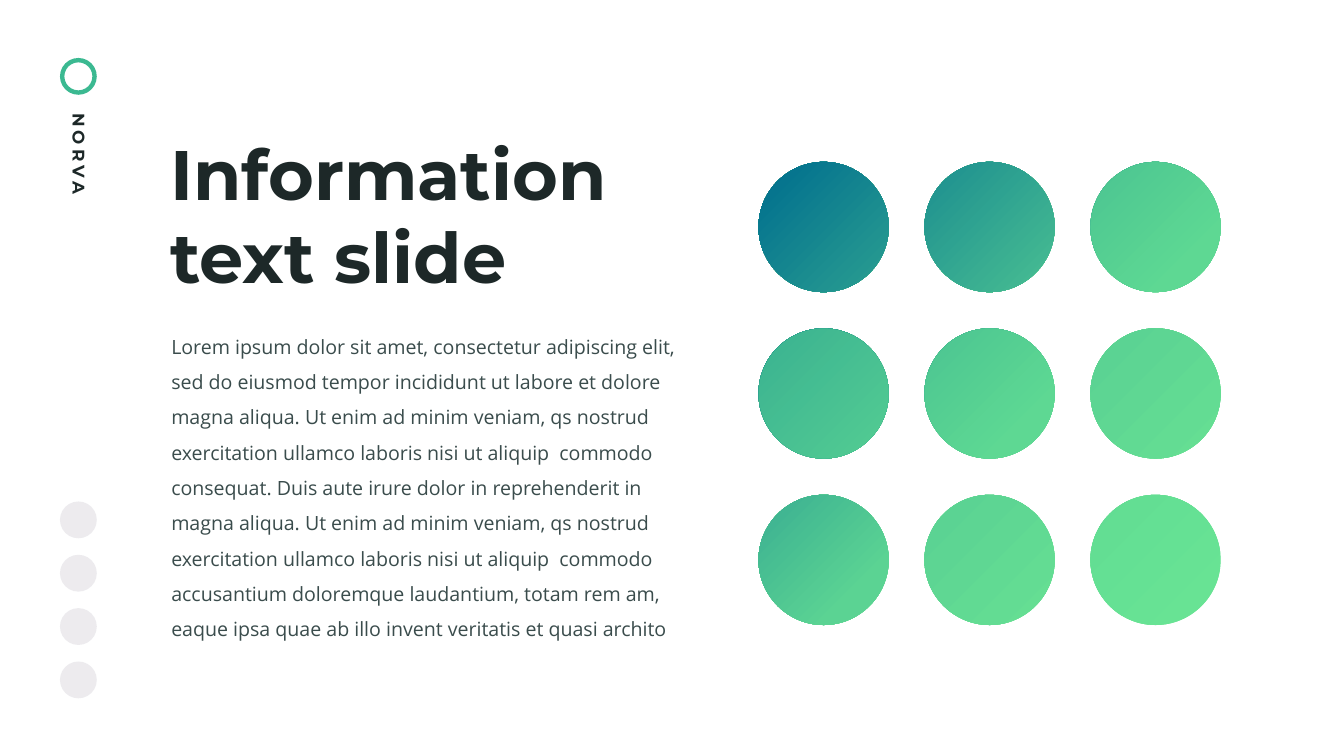
from copy import deepcopy

from pptx import Presentation
from pptx.dml.color import RGBColor
from pptx.enum.shapes import MSO_SHAPE
from pptx.enum.text import MSO_AUTO_SIZE
from pptx.oxml.ns import qn
from pptx.util import Pt

OVAL = MSO_SHAPE.OVAL
DONUT = MSO_SHAPE.DONUT
GROW = MSO_AUTO_SIZE.SHAPE_TO_FIT_TEXT

INK = RGBColor(0x1D, 0x28, 0x28)
SLATE = RGBColor(0x3A, 0x4C, 0x4C)
EMERALD = RGBColor(0x3B, 0xB9, 0x91)
MIST = RGBColor(0xDE, 0xDB, 0xE1)
MINT = RGBColor(0x62, 0xE0, 0x94)
GRADIENT = [
    (0, RGBColor(0x6F, 0xE9, 0x94)),
    (0.43, RGBColor(0x5B, 0xD3, 0x93)),
    (0.99, RGBColor(0x00, 0x6F, 0x8E)),
]

BRAND = ["NORVA"]
TITLE = ["Information", "text slide"]
BODY = [
    "Lorem ipsum dolor sit amet, consectetur adipiscing elit, sed do eiusmod "
    "tempor incididunt ut labore et dolore magna aliqua. Ut enim ad minim veniam, "
    "qs nostrud exercitation ullamco laboris nisi ut aliquip  commodo consequat. "
    "Duis aute irure dolor in reprehenderit in",
    "magna aliqua. Ut enim ad minim veniam, qs nostrud exercitation ullamco laboris "
    "nisi ut aliquip  commodo accusantium doloremque laudantium, totam rem am, eaque "
    "ipsa quae ab illo invent veritatis et quasi archito",
]

BADGE_LEFT, BADGE_SIZE = 85.7, 52.6
LOGO_TOP = 82.8
SOCIAL_TOP, SOCIAL_STEP, SOCIAL_COUNT = 716.4, 76.2, 4

GRID_LEFT, GRID_TOP = 1083.6, 231.3
CIRCLE_SIZE = 186
STEP_X, STEP_Y = 237.1, 237.8
GRID_COUNT = 3
BEND = 0.55
QUARTERS = [(1, 0), (0, 1), (-1, 0), (0, -1)]
TINTED_CELLS = [(2, 2), (0, 1), (1, 1), (2, 0)]

deck = Presentation()
deck.slide_width, deck.slide_height = Pt(1920), Pt(1080)
page = deck.slides.add_slide(deck.slide_layouts[6])


def add_text(lines, left, top, width, height, font, size, color, spacing, bold, inset):
    box = page.shapes.add_textbox(Pt(left), Pt(top), Pt(width), Pt(height))
    frame = box.text_frame
    frame.word_wrap = True
    frame.auto_size = GROW
    frame.margin_left = frame.margin_right = Pt(inset)
    frame.text = "\n".join(lines)
    for para in frame.paragraphs:
        para.line_spacing = spacing
        for span in para.runs:
            span.font.name = font
            span.font.size = Pt(size)
            span.font.bold = bold
            span.font.color.rgb = color
    return box


def add_round(kind, left, top, size, color, opacity=100):
    shape = page.shapes.add_shape(kind, Pt(left), Pt(top), Pt(size), Pt(size))
    shape.shadow.inherit = False
    shape.line.fill.background()
    shape.fill.solid()
    shape.fill.fore_color.rgb = color
    if opacity < 100:
        tone = shape._element.xpath("./p:spPr/a:solidFill/a:srgbClr")[0]
        tone.append(tone.makeelement(qn("a:alpha"), {"val": str(opacity * 1000)}))
    return shape


def cell_origin(column, row):
    return GRID_LEFT + column * STEP_X, GRID_TOP + row * STEP_Y


def circle_points(column, row):
    left, top = cell_origin(column, row)
    radius = CIRCLE_SIZE / 2
    offsets = [QUARTERS[0]]
    for (x, y), (next_x, next_y) in zip(QUARTERS, QUARTERS[1:] + QUARTERS[:1]):
        offsets += [
            (x + BEND * next_x, y + BEND * next_y),
            (next_x + BEND * x, next_y + BEND * y),
            (next_x, next_y),
        ]
    return [
        (Pt(left + radius * (1 + x)), Pt(top + radius * (1 + y))) for x, y in offsets
    ]


def round_corners(shape):
    lines = shape._element.xpath(".//a:lnTo")
    for first in range(0, len(lines), 3):
        curve = lines[first].makeelement(qn("a:cubicBezTo"))
        lines[first].addprevious(curve)
        for line in lines[first:first + 3]:
            curve.append(line[0])
            line.getparent().remove(line)


def add_circle_grid():
    outlines = [
        circle_points(column, row)
        for row in range(GRID_COUNT)
        for column in range(GRID_COUNT)
    ]
    builder = page.shapes.build_freeform(*outlines[0][0])
    for outline in outlines:
        builder.move_to(*outline[0])
        builder.add_line_segments(outline[1:], close=True)
    circles = builder.convert_to_shape()
    round_corners(circles)
    circles.shadow.inherit = False
    circles.line.fill.background()
    circles.fill.gradient()
    circles.fill.gradient_angle = 135
    stop_list = circles._element.xpath(".//a:gsLst")[0]
    stop_list.append(deepcopy(stop_list[0]))
    for stop, (position, color) in zip(circles.fill.gradient_stops, GRADIENT):
        stop.position = position
        stop.color.rgb = color


brand = add_text(BRAND, 37.5, 215.2, 147.6, 33.1, "Montserrat", 24, INK, 0.9, True, 3.6)
brand.rotation = 90
brand.text_frame.paragraphs[0].runs[0].font._element.set("spc", "600")

logo = add_round(DONUT, BADGE_LEFT, LOGO_TOP, BADGE_SIZE, EMERALD)
logo.adjustments[0] = 0.12
for place in range(SOCIAL_COUNT):
    add_round(OVAL, BADGE_LEFT, SOCIAL_TOP + place * SOCIAL_STEP, BADGE_SIZE, MIST, 54)

add_text(TITLE, 239.8, 185, 895.7, 245.5, "Montserrat", 100, INK, Pt(118), True, 3.6)
add_text(BODY, 237.6, 457.9, 738.7, 460, "Open Sans", 28, SLATE, 1.5, False, 7.2)

add_circle_grid()
for cell in TINTED_CELLS:
    add_round(OVAL, *cell_origin(*cell), CIRCLE_SIZE, MINT, 44)

deck.save("out.pptx")
